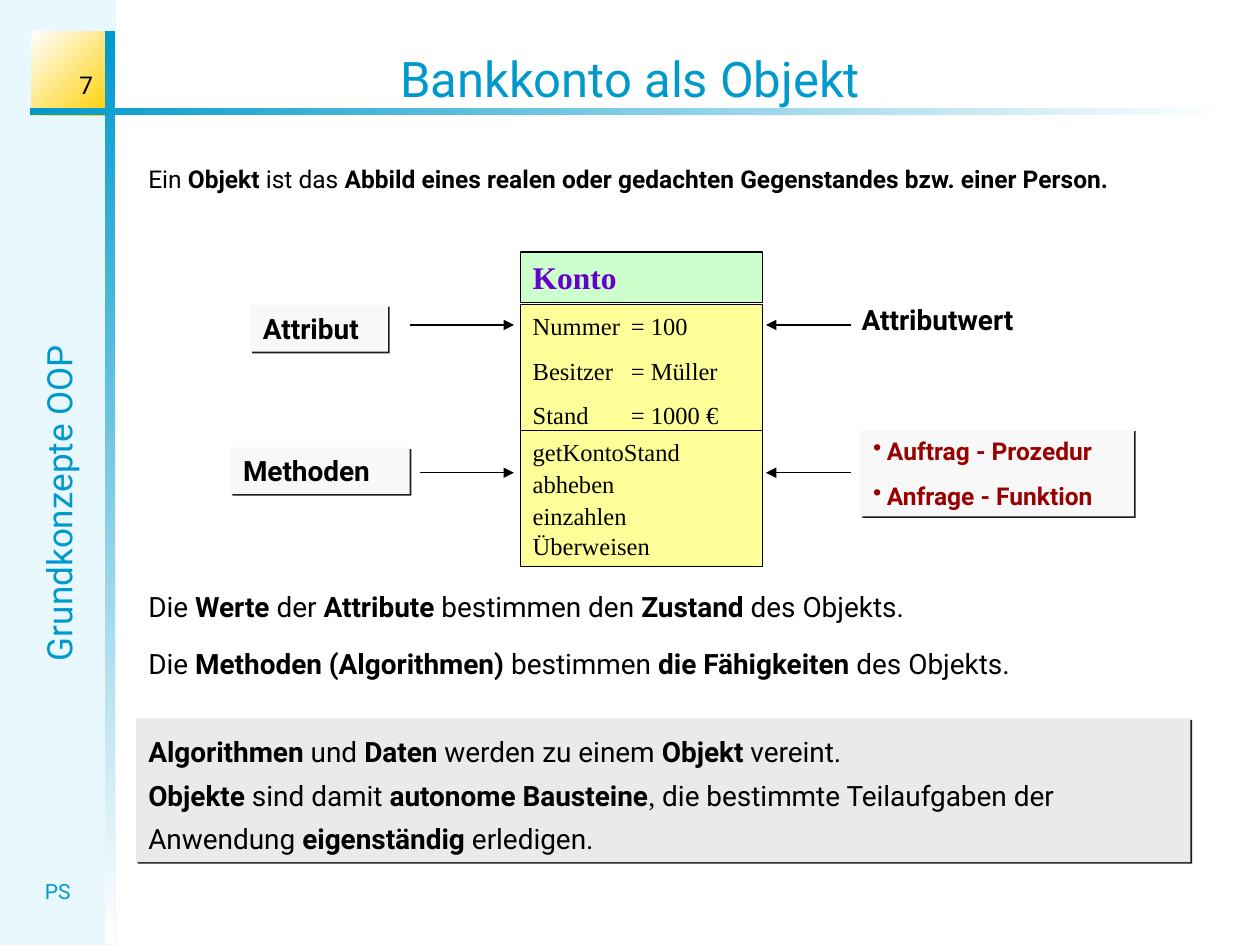
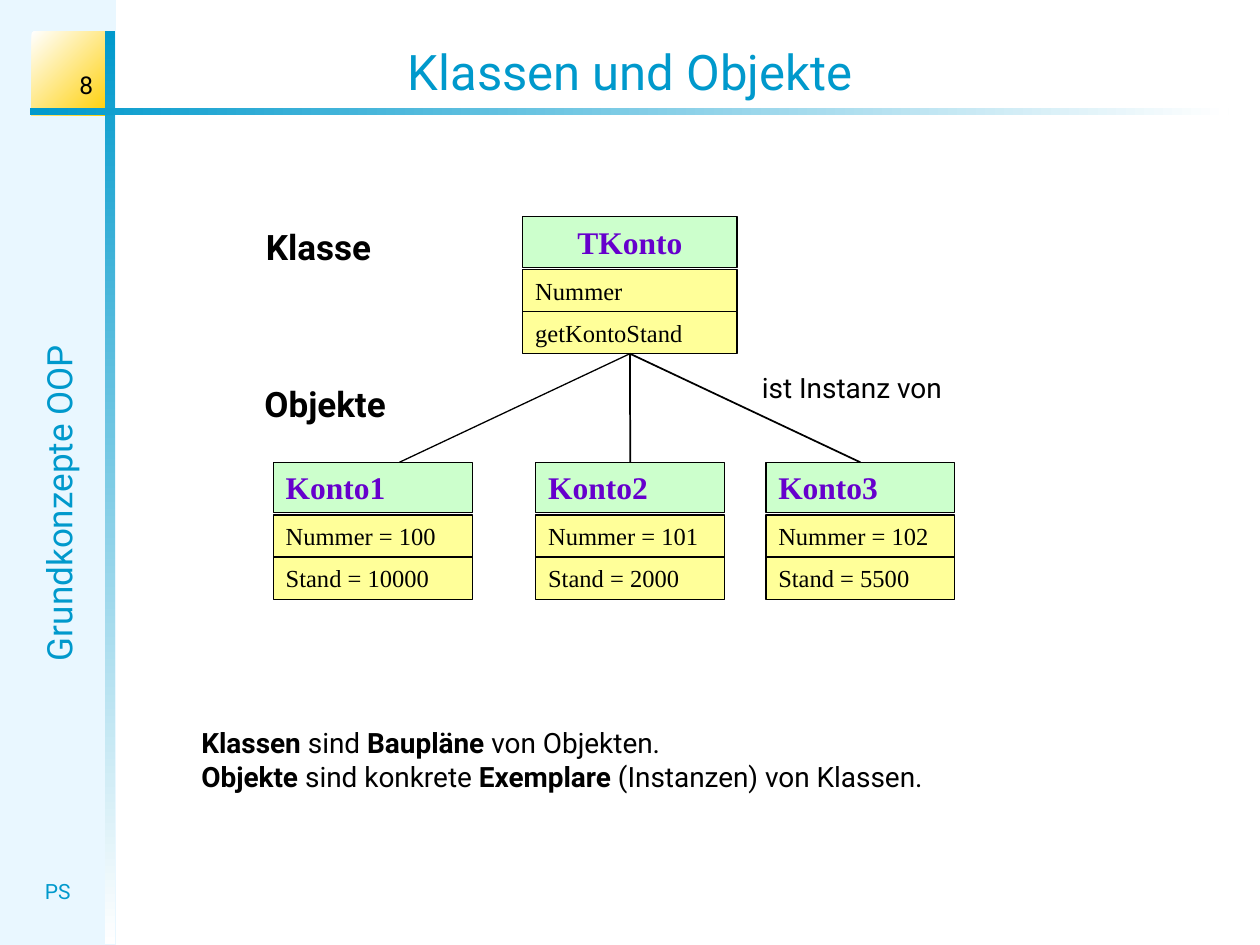
"""Build two slides that explain objects and classes with a bank account."""
from lxml.etree import SubElement
from pptx import Presentation
from pptx.dml.color import RGBColor
from pptx.enum.shapes import MSO_CONNECTOR as Connector, MSO_SHAPE as Shape
from pptx.enum.text import MSO_ANCHOR as Anchor, MSO_AUTO_SIZE as AutoSize, PP_ALIGN as Align
from pptx.oxml.ns import qn
from pptx.util import Cm, Pt

SANS, SERIF = "Roboto", "Times New Roman"
COLORS = {
    "black": "000000", "white": "FFFFFF", "panel": "E9F7FF", "gold": "FFCF01",
    "blue": "0099CC", "header": "CCFFCC", "row": "FFFF99", "name": "6600CC",
    "label": "F8F8F8", "note": "EAEAEA", "shadow": "1C1C1C", "red": "990000",
}
FIRST_NUMBER = 7
SLIDE_WIDTH, SLIDE_HEIGHT = 25.4, 19.05
HEADER_HEIGHT, HEADER_STEP, ROW_HEIGHT = 1.02, 1.06, 0.85

SECTION, AUTHOR = "Grundkonzepte OOP", "PS"
GRADIENTS = [
    ((0.64, 0.64, 1.55, 1.7), ("white", "gold"), 315),
    ((2.12, 0.62, 0.2, 18.42), ("blue", "white"), 270),
    ((0.61, 2.18, 24.16, 0.15), ("blue", "white"), 0),
]

INTRO = "Ein *Objekt* ist das *Abbild eines realen oder gedachten Gegenstandes bzw. einer Person.*"
ACCOUNT_ROWS = [
    (["Nummer\t= 100", "Besitzer\t= Müller", "Stand\t= 1000 €"], 2.54),
    (["getKontoStand", "abheben", "einzahlen", "Überweisen"], 2.74),
]
ARROWS = [
    ((8.26, 6.55), (10.36, 6.55)),
    ((17.15, 6.55), (15.44, 6.55)),
    ((8.46, 9.53), (10.36, 9.53)),
    ((17.15, 9.53), (15.44, 9.53)),
]
LABELS = [("Attribut", (5.05, 6.15, 2.77, 0.94)), ("Methoden", (4.65, 9.02, 3.61, 0.94))]
METHOD_KINDS = ["Auftrag - Prozedur", "Anfrage - Funktion"]
STATEMENTS = [
    ("Die *Werte* der *Attribute* bestimmen den *Zustand* des Objekts.", 11.76),
    ("Die *Methoden (Algorithmen)* bestimmen *die Fähigkeiten* des Objekts.", 12.9),
]
CONCLUSION = [
    "*Algorithmen* und *Daten* werden zu einem *Objekt* vereint.",
    "*Objekte* sind damit *autonome Bausteine*, **die bestimmte Teilaufgaben der "
    "Anwendung *eigenständig* erledigen.",
]

HEADINGS = [("Klasse", (5.11, 4.42, 2.74, 1.12)), ("Objekte", (5.08, 7.59, 3.3, 1.12))]
INSTANCES = [
    ("Konto1", ["Nummer = 100", "Stand = 10000"], 5.51, 4.01),
    ("Konto2", ["Nummer = 101", "Stand = 2000"], 10.8, 3.81),
    ("Konto3", ["Nummer = 102", "Stand = 5500"], 15.44, 3.81),
]
SUMMARY = [
    "*Klassen* sind *Baupläne* von Objekten.",
    "*Objekte* sind konkrete *Exemplare* (Instanzen) von Klassen.",
]


def rgb(name):
    return RGBColor.from_string(COLORS[name])


def style(para, size, color="black", font=SANS, bold=False, align=Align.LEFT):
    para.alignment = align
    para.font.size, para.font.name, para.font.bold = Pt(size), font, bold
    para.font.color.rgb = rgb(color)


def write(box, lines, size, spacing=None, before=0, bullet=False, tab=None, **look):
    """Fill a box with paragraphs; pieces between asterisks are bold."""
    frame = box.text_frame
    frame.word_wrap, frame.vertical_anchor = True, Anchor.TOP
    for index, line in enumerate(lines):
        para = frame.paragraphs[0] if index == 0 else frame.add_paragraph()
        props = para._p.get_or_add_pPr()
        if bullet:
            props.set("marL", str(Cm(0.28)))
            props.set("indent", str(-Cm(0.28)))
            SubElement(props, qn("a:buChar"), char="•")
        if tab:
            stops = SubElement(props, qn("a:tabLst"))
            SubElement(stops, qn("a:tab"), pos=str(Cm(tab)), algn="l")
        style(para, size, **look)
        para.space_before = Pt(before)
        if spacing:
            para.line_spacing = spacing
        for position, piece in enumerate(line.split("*")):
            if piece:
                span = para.add_run()
                span.text = piece
                if position % 2:
                    span.font.bold = True
    return box


def add_text(page, area, lines, size, **look):
    return write(page.shapes.add_textbox(*map(Cm, area)), lines, size, **look)


def add_block(page, area, fill=None, outlined=False, shadowed=False):
    block = page.shapes.add_shape(Shape.RECTANGLE, *map(Cm, area))
    block.shadow.inherit = False
    if fill:
        block.fill.solid()
        block.fill.fore_color.rgb = rgb(fill)
    if outlined:
        block.line.color.rgb, block.line.width = rgb("black"), Pt(0.75)
    else:
        block.line.fill.background()
    if shadowed:
        effects = block.element.spPr.find(qn("a:effectLst"))
        shadow = SubElement(effects, qn("a:outerShdw"), blurRad="0",
                            dist=str(Pt(1.4)), dir="2700000")
        SubElement(shadow, qn("a:srgbClr"), val=COLORS["shadow"])
    return block


def add_line(page, start, end, width=0.75, arrow=False):
    line = page.shapes.add_connector(Connector.STRAIGHT, *map(Cm, start + end))
    line.line.color.rgb, line.line.width = rgb("black"), Pt(width)
    if arrow:
        SubElement(line.line._get_or_add_ln(), qn("a:tailEnd"), type="triangle")
    SubElement(line.element.spPr, qn("a:effectLst"))
    return line


def add_card(page, left, top, width, name, rows, align=Align.LEFT):
    """Draw a header over stacked rows and return all boxes."""
    header = add_block(page, (left, top, width, HEADER_HEIGHT), "header", outlined=True)
    boxes = [write(header, [name], 18, color="name", font=SERIF, bold=True, align=align)]
    top += HEADER_STEP
    for lines, height in rows:
        row = add_block(page, (left, top, width, height), "row", outlined=True)
        tabbed = any("\t" in line for line in lines)
        boxes.append(write(row, lines, 14, font=SERIF, before=8.8 if tabbed else 0,
                           tab=1.98 if tabbed else None))
        top += height
    return boxes


def build_layout(layout, page):
    """Draw the shared frame and move it to the layout."""
    frame = [add_block(page, (0, 0, 2.34, SLIDE_HEIGHT), "panel")]
    for area, colors, angle in GRADIENTS:
        band = add_block(page, area)
        band.fill.gradient()
        band.fill.gradient_angle = angle
        for stop, color in zip(band.fill.gradient_stops, colors):
            stop.color.rgb = rgb(color)
        frame.append(band)
    section = add_text(page, (-6.25, 9.58, 14.88, 1.12), [SECTION], 20,
                       color="blue", align=Align.CENTER)
    section.rotation = 270
    author = add_text(page, (0.43, 17.58, 1.47, 0.76), [AUTHOR], 12,
                      color="blue", align=Align.CENTER)
    for shape in frame + [section, author]:
        layout.element.cSld.spTree.append(shape.element)


def add_title(page, text, top, anchor):
    title = page.shapes.title
    title.left, title.top, title.width, title.height = map(Cm, (0, top, SLIDE_WIDTH, 1.45))
    write(title, [text], 28, color="blue", align=Align.CENTER)
    title.text_frame.vertical_anchor = anchor
    title.text_frame.auto_size = AutoSize.NONE


def add_number(page, number):
    box = add_text(page, (0.2, 1.07, 1.93, 1.07), [""], 14, align=Align.RIGHT)
    box.text_frame.vertical_anchor = Anchor.BOTTOM
    field = SubElement(box.text_frame.paragraphs[0]._p, qn("a:fld"), type="slidenum",
                       id="{B6F15528-21DE-4FAA-801E-634DDDAF4B2B}")
    SubElement(field, qn("a:rPr"), lang="de-DE")
    SubElement(field, qn("a:t")).text = str(number)


def build_object_slide(page):
    add_title(page, "Bankkonto als Objekt", 0.84, Anchor.MIDDLE)
    add_text(page, (2.74, 3.18, 20.96, 1.45), [INTRO], 14)
    methods = add_card(page, 10.49, 5.08, 4.88, "Konto", ACCOUNT_ROWS)[-1]
    for para in methods.text_frame.paragraphs[1:3]:
        para.line_spacing = 1.1
    for start, end in ARROWS:
        add_line(page, start, end, arrow=True)
    for text, area in LABELS:
        write(add_block(page, area, "label", shadowed=True), [text], 16, bold=True)
    add_text(page, (17.12, 5.97, 4.09, 0.94), ["Attributwert"], 16, bold=True)
    kinds = add_block(page, (17.35, 8.66, 5.51, 1.75), "label", shadowed=True)
    write(kinds, METHOD_KINDS, 14, before=8.8, bullet=True, color="red", bold=True)
    for text, top in STATEMENTS:
        add_text(page, (2.74, top, 19.89, 0.95), [text], 16)
    note = add_block(page, (2.74, 14.48, 21.26, 2.9), "note", shadowed=True)
    write(note, CONCLUSION, 16, spacing=1.3)
    note.text_frame.paragraphs[1].runs[3].font.name = SERIF


def build_class_slide(page):
    add_title(page, "Klassen und Objekte", 0.71, Anchor.BOTTOM)
    for text, area in HEADINGS:
        add_text(page, area, [text], 20, bold=True)
    class_rows = [([text], ROW_HEIGHT) for text in ("Nummer", "getKontoStand")]
    class_foot = add_card(page, 10.54, 4.37, 4.32, "TKonto", class_rows, Align.CENTER)[-1]
    for index, (name, values, left, width) in enumerate(INSTANCES):
        rows = [([value], ROW_HEIGHT) for value in values]
        header = add_card(page, left, 9.32, width, name, rows)[0]
        line = add_line(page, (8.05, 9.32), (12.7, 7.19), 1 if index else 0.75)
        if index:
            line.begin_connect(header, 0)
        line.end_connect(class_foot, 2)
    add_text(page, (15.11, 7.34, 4.32, 0.94), ["ist Instanz von"], 16)
    summary = add_text(page, (3.81, 14.17, 20.12, 1.96), SUMMARY, 16)
    summary.text_frame.paragraphs[0].line_spacing = 1.5


def main():
    deck = Presentation()
    deck.slide_width, deck.slide_height = Cm(SLIDE_WIDTH), Cm(SLIDE_HEIGHT)
    deck.element.set("firstSlideNum", str(FIRST_NUMBER))
    layout = deck.slide_layouts[5]
    for index, build in enumerate((build_object_slide, build_class_slide)):
        page = deck.slides.add_slide(layout)
        if index == 0:
            build_layout(layout, page)
        add_number(page, FIRST_NUMBER + index)
        build(page)
    deck.save("out.pptx")


if __name__ == "__main__":
    main()
